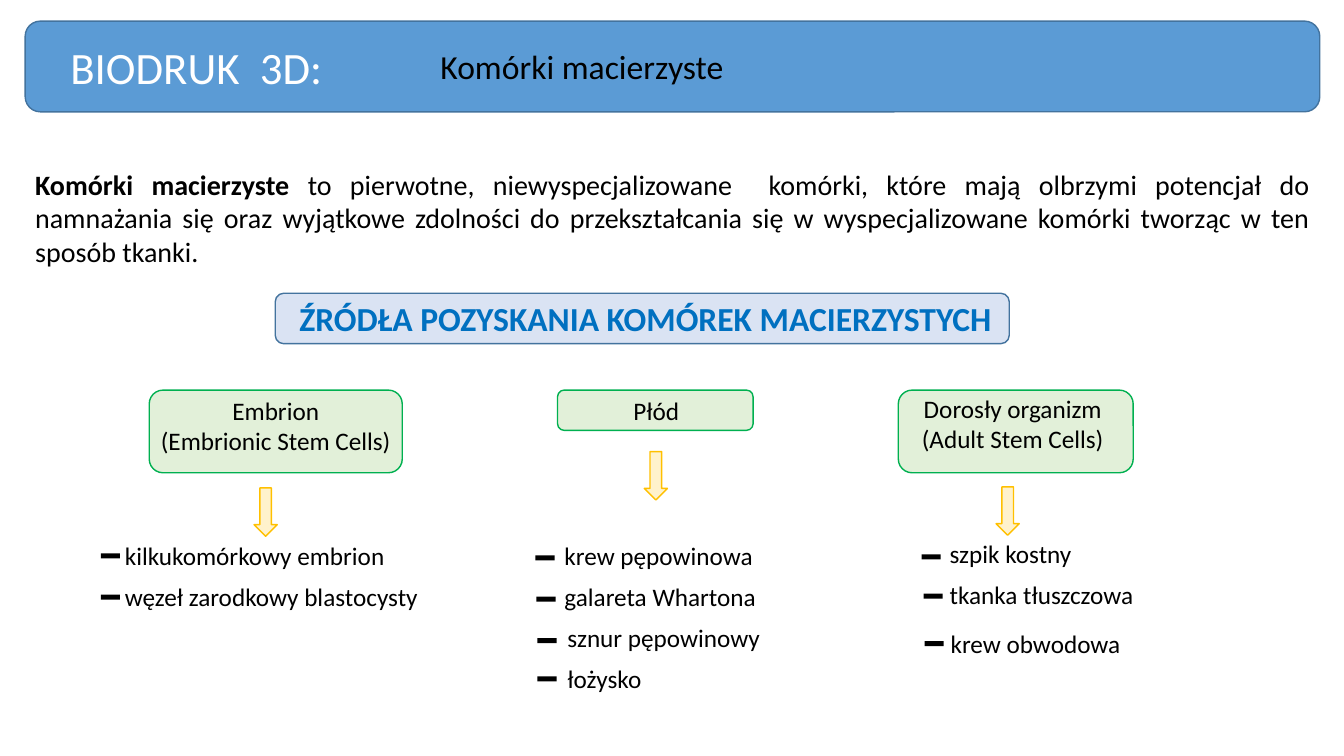
from pptx import Presentation
from pptx.dml.color import RGBColor
from pptx.enum.shapes import MSO_SHAPE as SHAPE
from pptx.enum.text import MSO_AUTO_SIZE as AUTO, PP_ALIGN as ALIGN
from pptx.util import Pt

PX = 9144  # 100 px to the inch
BLACK = "000000"

prs = Presentation()
prs.slide_width, prs.slide_height = 1333 * PX, 750 * PX
slide = prs.slides.add_slide(prs.slide_layouts[6])


def add_block(kind, place, fill, line=None):
    block = slide.shapes.add_shape(kind, *(v * PX for v in place))
    block.shadow.inherit = False
    block.fill.solid()
    block.fill.fore_color.rgb = RGBColor.from_string(fill)
    if line:
        block.line.color.rgb = RGBColor.from_string(line)
        block.line.width = Pt(1)
    else:
        block.line.fill.background()


def add_text(place, lines, size=18, color=BLACK, bold=False, align=ALIGN.LEFT, wrap=False):
    """Write one paragraph per line and return the text frame."""
    frame = slide.shapes.add_textbox(*(v * PX for v in place)).text_frame
    frame.word_wrap = wrap
    frame.auto_size = AUTO.SHAPE_TO_FIT_TEXT
    frame.text = "\n".join(lines)
    for paragraph in frame.paragraphs:
        paragraph.alignment = align
        paragraph.font.name = "Calibri"
        paragraph.font.size = Pt(size)
        paragraph.font.bold = bold
        paragraph.font.color.rgb = RGBColor.from_string(color)
    return frame


# Header
add_block(SHAPE.ROUNDED_RECTANGLE, (25, 21, 1284, 90), "5B9BD5", "43739E")
add_text((60, 34, 273, 64), ["BIODRUK  3D:"], 32, "FFFFFF")
add_text((427, 41, 303, 50), ["Komórki macierzyste"], 24)

# Definition
definition = add_text((25, 161, 1284, 111), ["Komórki macierzyste "], 20,
                      align=ALIGN.JUSTIFY, wrap=True).paragraphs[0]
definition.runs[0].font.bold = True
explanation = definition.add_run()
explanation.text = (
    "to pierwotne, niewyspecjalizowane  komórki, które mają olbrzymi potencjał do "
    "namnażania się oraz wyjątkowe zdolności do przekształcania się w wyspecjalizowane "
    "komórki tworząc w ten sposób tkanki.")

# Sources heading
add_block(SHAPE.ROUNDED_RECTANGLE, (273, 291, 728, 50), "DAE3F3", "43739E")
add_text((287, 291, 714, 50), ["ŹRÓDŁA POZYSKANIA KOMÓREK MACIERZYSTYCH"], 24, "0070C0", True)

# Each source: frame, label place, label lines, arrow left and top,
# items as (text, left, top, width, dash left, dash top)
sources = [
    ((148, 387, 251, 82), (148, 387, 251, 71), ["Embrion", "(Embrionic Stem Cells)"], (252, 484), [
        ("kilkukomórkowy embrion", 114, 531, 292, 100, 549),
        ("węzeł zarodkowy blastocysty", 114, 572, 314, 100, 590),
    ]),
    ((553, 387, 194, 40), (618, 387, 66, 40), ["Płód"], (639, 448), [
        ("krew pępowinowa", 550, 531, 209, 531, 551),
        ("galareta Whartona", 550, 572, 212, 532, 592),
        ("sznur pępowinowy", 553, 612, 223, 533, 633),
        ("łożysko", 553, 653, 94, 533, 671),
    ]),
    ((891, 387, 233, 82), (903, 385, 203, 71), ["Dorosły organizm", "(Adult Stem Cells)"], (988, 483), [
        ("szpik kostny", 932, 529, 142, 914, 550),
        ("tkanka tłuszczowa", 932, 570, 204, 916, 589),
        ("krew obwodowa", 933, 618, 190, 917, 636),
    ]),
]
for frame_place, label_place, label, arrow, items in sources:
    add_block(SHAPE.ROUNDED_RECTANGLE, frame_place, "E2F0D9", "00B050")
    add_text(label_place, label, align=ALIGN.CENTER)
    add_block(SHAPE.DOWN_ARROW, (*arrow, 23, 48), "FFF2CC", "FFC000")
    for item, left, top, width, dash_left, dash_top in items:
        add_text((left, top, width, 40), [item])
        add_block(SHAPE.RECTANGLE, (dash_left, dash_top, 19, 5), BLACK)

prs.save("out.pptx")
